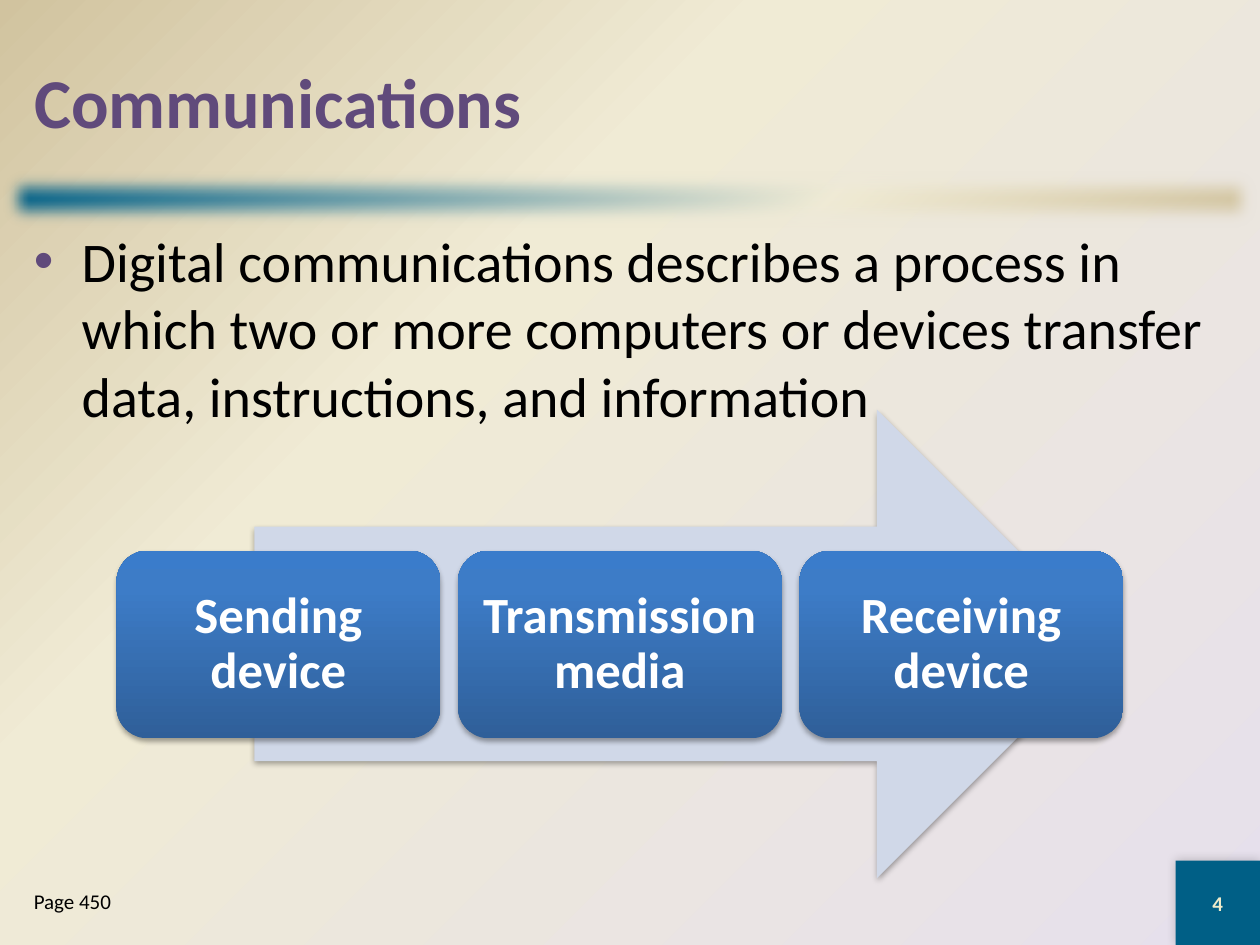
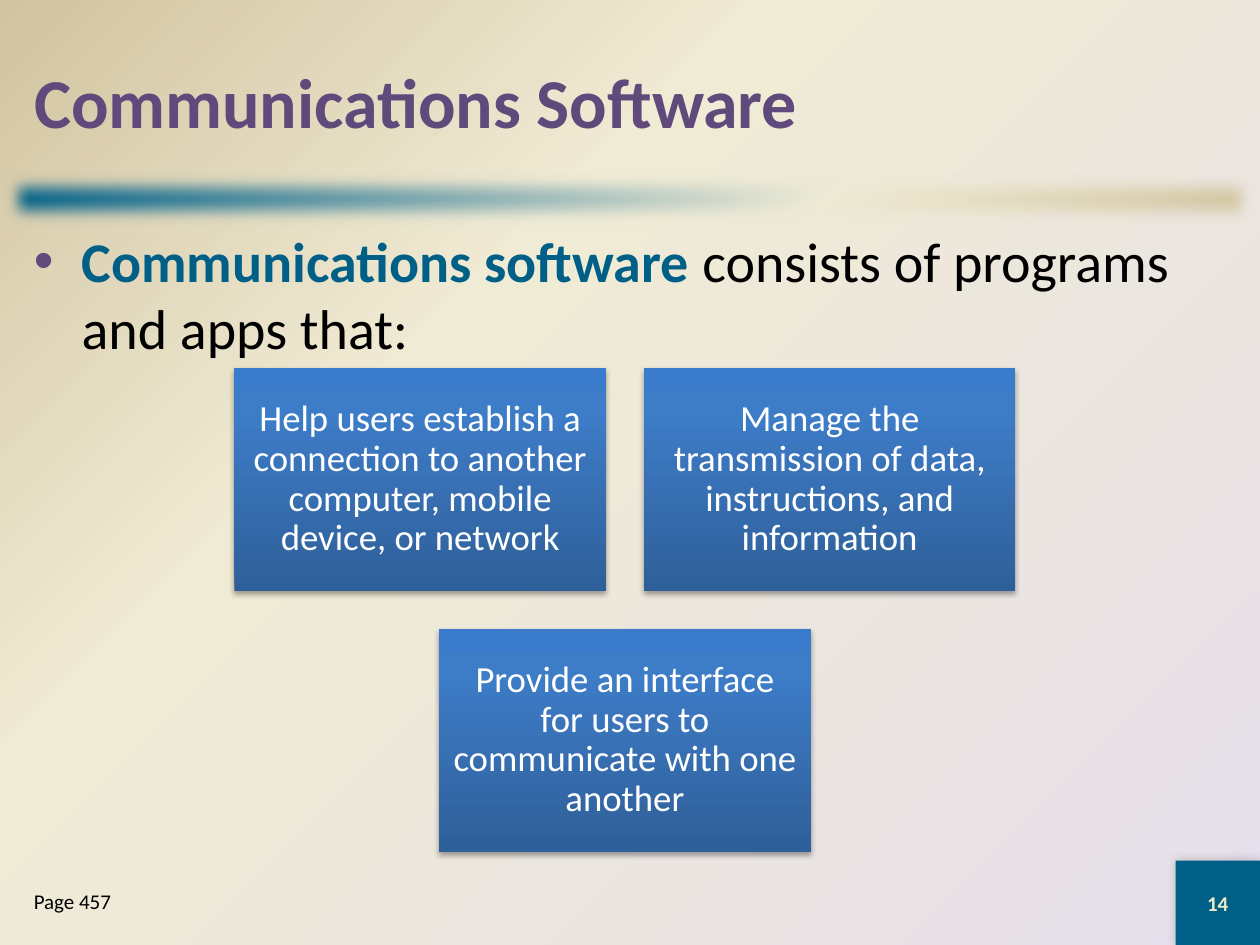
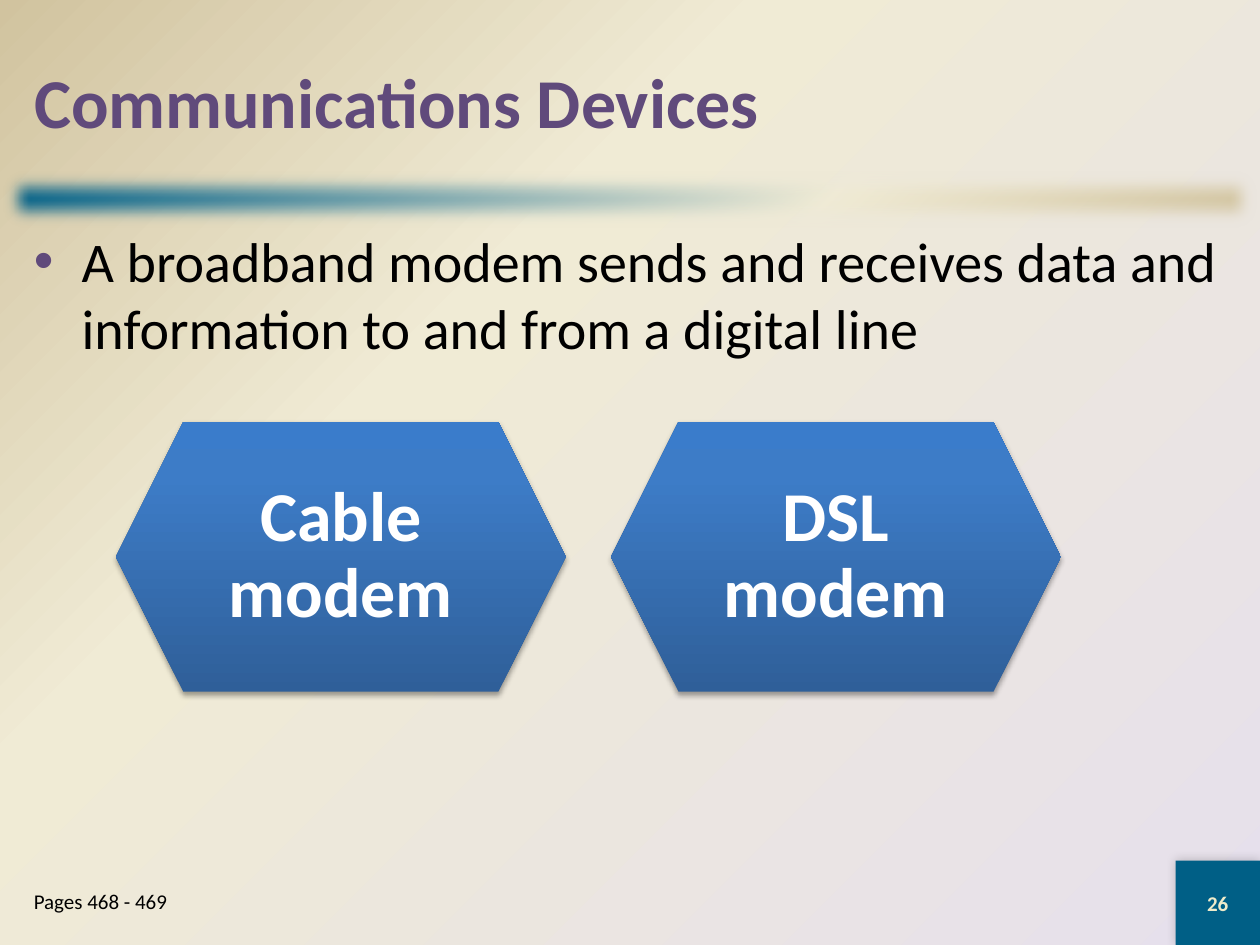
from pptx import Presentation
from pptx.dml.color import RGBColor
from pptx.enum.shapes import MSO_SHAPE as Shape
from pptx.enum.text import MSO_ANCHOR as Anchor, MSO_AUTO_SIZE as AutoSize, PP_ALIGN as Align
from pptx.oxml import parse_xml
from pptx.oxml.ns import nsdecls, qn
from pptx.util import Inches, Pt

PURPLE, TEAL, BLACK, WHITE = "604A7B", "005F86", "000000", "FFFFFF"
CREAM, ARROW_BLUE = "EEEBCA", "D0D8E8"
BACKGROUND_STOPS = [(0, "E6E0EC"), (65, "F0EBD5"), (100, "D1C39F")]
BAND_STOPS = [(0, TEAL), (65, "F0EBD5"), (100, "D1C39F")]
BOX_STOPS = [(0, "2F5F99"), (80, "3D7CC7"), (100, "3A7CCB")]
CORNER_SHADE = '<a:path path="circle"><a:fillToRect l="100000" t="100000"/></a:path>'
SOFT_EDGE = '<a:softEdge {} rad="127000"/>'
BOX_SHADOW = {"alpha": 35, "blur": 3.1, "distance": 1.8, "direction": 90}
CORNER_SHADOW = {"alpha": 20, "blur": 6, "distance": 0, "direction": 225}

TITLE_AREA = (0.17, 0.17, 9.67, 1.25)
BODY_AREA = (0.17, 1.75, 9.67, 5.08)
PAGE_AREA = (0.17, 7, 1.83, 0.5)
BAND_AREA = (0, 1.33, 10, 0.5)
CORNER_AREA = (9.33, 6.83, 0.67, 0.67)

SLIDES = [
    {
        "title": "Communications",
        "body": [("Digital communications describes a process in which two or more computers "
                  "or devices transfer data, instructions, and information", {})],
        "page": "Page 450",
        "number": "4",
        "arrow": (2.02, 3.25, 6.8, 3.72),
        "diagram": {
            "kind": Shape.ROUNDED_RECTANGLE, "center": 4.92, "top": 4.37,
            "width": 2.57, "height": 1.49, "gap": 0.14, "size": 29, "bold": True, "inset": 0.1,
            "rows": [["Sending device", "Transmission media", "Receiving device"]],
        },
    },
    {
        "title": "Communications Software",
        "body": [("Communications software ", {"color": TEAL, "bold": True}),
                 ("consists of programs and apps that:", {})],
        "page": "Page 457",
        "number": "14",
        "diagram": {
            "kind": Shape.RECTANGLE, "center": 4.96, "top": 2.92,
            "width": 2.95, "height": 1.77, "gap": 0.3, "size": 21, "bold": False, "inset": 0.09,
            "rows": [
                ["Help users establish a connection to another computer, mobile device, or network",
                 "Manage the transmission of data, instructions, and information"],
                ["Provide an interface for users to communicate with one another"],
            ],
        },
    },
    {
        "title": "Communications Devices",
        "body": [("A broadband modem sends and receives data and information "
                  "to and from a digital line", {})],
        "page": "Pages 468 - 469",
        "number": "26",
        "diagram": {
            "kind": Shape.HEXAGON, "center": 4.67, "top": 3.35,
            "width": 3.57, "height": 2.14, "gap": 0.36, "size": 40, "bold": True, "inset": 0.17,
            "rows": [["Cable modem", "DSL modem"]],
        },
    },
]


def rgb(color):
    """Turn a hex string into a colour."""
    return RGBColor.from_string(color)


def inches(area):
    """Turn a tuple of numbers into lengths."""
    return [Inches(value) for value in area]


def set_gradient(owner, fill, stops, shade):
    """Give a shape or a master a gradient with the given stops and shading."""
    fill.gradient()
    current = next(owner._element.iter(qn("a:gradFill")))
    stop_xml = "".join(f'<a:gs pos="{position * 1000}"><a:srgbClr val="{color}"/></a:gs>'
                       for position, color in stops)
    gradient = parse_xml(f'<a:gradFill {nsdecls("a")} rotWithShape="1">'
                         f'<a:gsLst>{stop_xml}</a:gsLst>{shade}</a:gradFill>')
    current.getparent().replace(current, gradient)


def linear_shade(angle):
    """Describe a linear gradient direction."""
    return f'<a:lin ang="{angle * 60000}" scaled="0"/>'


def add_effect(shape, effect):
    """Add one effect to a shape."""
    effects = shape._element.spPr.find(qn("a:effectLst"))
    effects.append(parse_xml(effect.format(nsdecls("a"))))


def add_shadow(shape, alpha, blur, distance, direction):
    """Add an outer shadow to a shape."""
    add_effect(shape, f'<a:outerShdw {{}} blurRad="{Pt(blur)}" dist="{Pt(distance)}" '
                      f'dir="{direction * 60000}" rotWithShape="0"><a:srgbClr val="{BLACK}">'
                      f'<a:alpha val="{alpha * 1000}"/></a:srgbClr></a:outerShdw>')


def add_shape(slide, kind, area, color=None):
    """Add a shape without line or shadow."""
    shape = slide.shapes.add_shape(kind, *inches(area))
    shape.shadow.inherit = False
    shape.line.fill.background()
    if color:
        shape.fill.solid()
        shape.fill.fore_color.rgb = rgb(color)
    return shape


def add_bullet(paragraph, color):
    """Give a paragraph a coloured bullet with a hanging indent."""
    properties = paragraph._p.get_or_add_pPr()
    properties.set("marL", str(Inches(0.38)))
    properties.set("indent", str(Inches(-0.38)))
    for element in (f'<a:buClr {nsdecls("a")}><a:srgbClr val="{color}"/></a:buClr>',
                    f'<a:buFont {nsdecls("a")} typeface="Arial"/>',
                    f'<a:buChar {nsdecls("a")} char="•"/>'):
        properties.append(parse_xml(element))


def write_text(shape, text, size=12, color=BLACK, bold=False, align=Align.LEFT,
               anchor=Anchor.TOP, inset=None, line_spacing=None, bullet=None):
    """Write a string or a list of formatted runs into a shape."""
    frame = shape.text_frame
    frame.word_wrap = True
    frame.auto_size = AutoSize.NONE
    frame.vertical_anchor = anchor
    if inset is not None:
        frame.margin_left = frame.margin_right = Inches(inset)
        frame.margin_top = frame.margin_bottom = Inches(inset)
    paragraph = frame.paragraphs[0]
    paragraph.alignment = align
    if line_spacing:
        paragraph.line_spacing = line_spacing
    if bullet:
        add_bullet(paragraph, bullet)
    for words, changes in [(text, {})] if isinstance(text, str) else text:
        run = paragraph.add_run()
        run.text = words
        run.font.name = "Calibri"
        run.font.size = Pt(size)
        run.font.bold = changes.get("bold", bold)
        run.font.color.rgb = rgb(changes.get("color", color))


def add_frame(slide, content):
    """Add the band, title, body, page reference and slide number."""
    band = add_shape(slide, Shape.RECTANGLE, BAND_AREA)
    set_gradient(band, band.fill, BAND_STOPS, linear_shade(45))
    add_effect(band, SOFT_EDGE)

    corner = add_shape(slide, Shape.RECTANGLE, CORNER_AREA, TEAL)
    add_shadow(corner, **CORNER_SHADOW)
    write_text(corner, content["number"], color=CREAM, bold=True,
               align=Align.CENTER, anchor=Anchor.MIDDLE)

    title = slide.shapes.title
    title.left, title.top, title.width, title.height = inches(TITLE_AREA)
    write_text(title, content["title"], size=40, color=PURPLE, bold=True, anchor=Anchor.MIDDLE)

    body = slide.shapes.add_textbox(*inches(BODY_AREA))
    write_text(body, content["body"], size=32, bullet=PURPLE)
    page = slide.shapes.add_textbox(*inches(PAGE_AREA))
    write_text(page, content["page"])


def add_diagram(slide, kind, center, top, width, height, gap, size, bold, inset, rows):
    """Add centred rows of equal labelled boxes."""
    for row_index, labels in enumerate(rows):
        row_width = len(labels) * (width + gap) - gap
        for column, label in enumerate(labels):
            left = center - row_width / 2 + column * (width + gap)
            box = add_shape(slide, kind, (left, top + row_index * (height + gap), width, height))
            set_gradient(box, box.fill, BOX_STOPS, linear_shade(270))
            add_shadow(box, **BOX_SHADOW)
            write_text(box, label, size=size, color=WHITE, bold=bold, align=Align.CENTER,
                       anchor=Anchor.MIDDLE, inset=inset, line_spacing=0.9)


def main():
    """Build the presentation."""
    presentation = Presentation()
    presentation.slide_width, presentation.slide_height = Inches(10), Inches(7.5)
    master = presentation.slide_master
    set_gradient(master, master.background.fill, BACKGROUND_STOPS, CORNER_SHADE)
    for content in SLIDES:
        slide = presentation.slides.add_slide(presentation.slide_layouts[5])
        add_frame(slide, content)
        if "arrow" in content:
            arrow = add_shape(slide, Shape.RIGHT_ARROW, content["arrow"], ARROW_BLUE)
            add_shadow(arrow, **BOX_SHADOW)
        add_diagram(slide, **content["diagram"])
    presentation.save("out.pptx")


if __name__ == "__main__":
    main()
